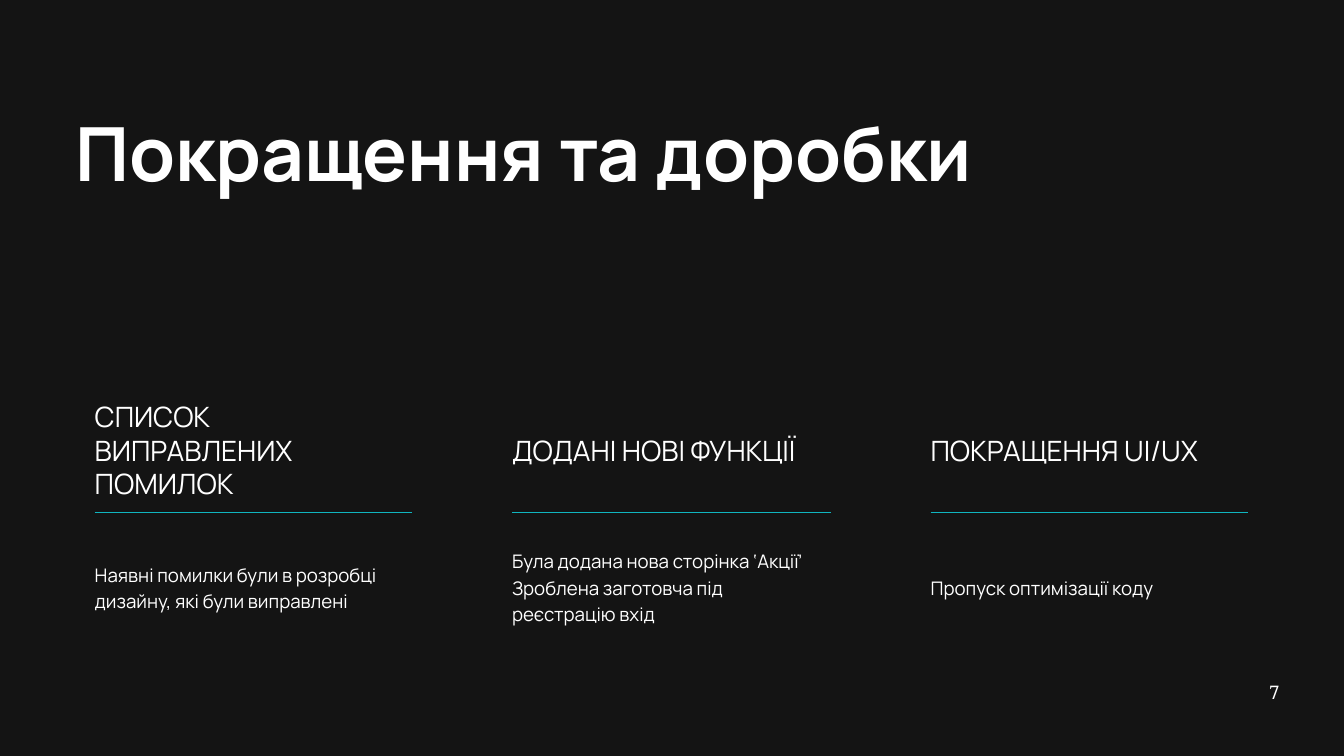
from lxml.etree import SubElement
from pptx import Presentation
from pptx.dml.color import RGBColor
from pptx.enum.text import MSO_ANCHOR as ANCHOR, PP_ALIGN as ALIGN
from pptx.oxml.ns import qn
from pptx.util import Inches, Pt

BACKGROUND, WHITE, TEAL = "141414", "FFFFFF", "10B5BF"
TITLE = "Покращення та доробки"
PAGE_NUMBER = "7"
TOPICS = [
    ("СПИСОК ВИПРАВЛЕНИХ ПОМИЛОК",
     ["Наявні помилки були в розробці дизайну, які були виправлені"]),
    ("ДОДАНІ НОВІ ФУНКЦІЇ",
     ["Була додана нова сторінка ‘Акції’", "Зроблена заготовча під реєстрацію вхід"]),
    ("ПОКРАЩЕННЯ UI/UX", ["Пропуск оптимізації коду"]),
]
COLUMN_WIDTHS = [4.72, 1.49, 4.74, 1.49, 4.72]
ROW_HEIGHTS = [1.78, 2.23]


def rgb(value):
    """Turn a hex string into a colour."""
    return RGBColor.from_string(value)


def write(tf, lines, size, spacing, font="Manrope", bold=False, align=ALIGN.LEFT):
    """Fill a text frame with evenly formatted paragraphs."""
    tf.text = "\n".join(lines)
    for p in tf.paragraphs:
        p.alignment, p.line_spacing = align, Pt(spacing)
        p.font.name, p.font.size, p.font.bold = font, Pt(size), bold
        p.font.color.rgb = rgb(WHITE)


def clear_margins(box):
    """Remove the inner margins of a cell or text frame."""
    box.margin_left = box.margin_right = box.margin_top = box.margin_bottom = 0


def set_borders(cell, colours):
    """Draw the named sides of a cell and hide the others."""
    tc_pr = cell._tc.get_or_add_tcPr()
    for side in "LRTB":
        ln = SubElement(tc_pr, qn(f"a:ln{side}"), w=str(Pt(1.5)))
        if side in colours:
            fill = SubElement(ln, qn("a:solidFill"))
            SubElement(fill, qn("a:srgbClr"), val=colours[side])
        else:
            SubElement(ln, qn("a:noFill"))


def add_topics(slide):
    """Add the table of topics, with a spacer column between each pair."""
    frame = slide.shapes.add_table(
        len(ROW_HEIGHTS), len(COLUMN_WIDTHS), Inches(1.41), Inches(5.85),
        Inches(sum(COLUMN_WIDTHS)), Inches(sum(ROW_HEIGHTS)))
    table = frame.table
    table.first_row = table.horz_banding = False
    for column, width in zip(table.columns, COLUMN_WIDTHS):
        column.width = Inches(width)
    for row, height in zip(table.rows, ROW_HEIGHTS):
        row.height = Inches(height)
    for r, rule_side in enumerate("BT"):
        for c in range(len(COLUMN_WIDTHS)):
            cell = table.cell(r, c)
            set_borders(cell, {} if c % 2 else {rule_side: TEAL})
            cell.fill.background()
            clear_margins(cell)
            cell.vertical_anchor = ANCHOR.MIDDLE
    for i, (heading, lines) in enumerate(TOPICS):
        write(table.cell(0, 2 * i).text_frame, [heading], 30, 36)
        write(table.cell(1, 2 * i).text_frame, lines, 20, 28)


def main():
    """Build the slide and save it."""
    prs = Presentation()
    prs.slide_width, prs.slide_height = Inches(20), Inches(11.25)
    slide = prs.slides.add_slide(prs.slide_layouts[5])
    slide.background.fill.solid()
    slide.background.fill.fore_color.rgb = rgb(BACKGROUND)

    add_topics(slide)

    title = slide.shapes.title
    title.left, title.top = Inches(1.12), Inches(1.59)
    title.width, title.height = Inches(16.22), Inches(1.34)
    clear_margins(title.text_frame)
    title.text_frame.vertical_anchor = ANCHOR.TOP
    write(title.text_frame, [TITLE], 80, 96, bold=True)

    number = slide.shapes.add_textbox(
        Inches(18.88), Inches(10.07), Inches(0.17), Inches(0.22))
    clear_margins(number.text_frame)
    number.text_frame.word_wrap = False
    write(number.text_frame, [PAGE_NUMBER], 20, 28, "Noto Serif", align=ALIGN.CENTER)

    prs.save("out.pptx")


if __name__ == "__main__":
    main()
